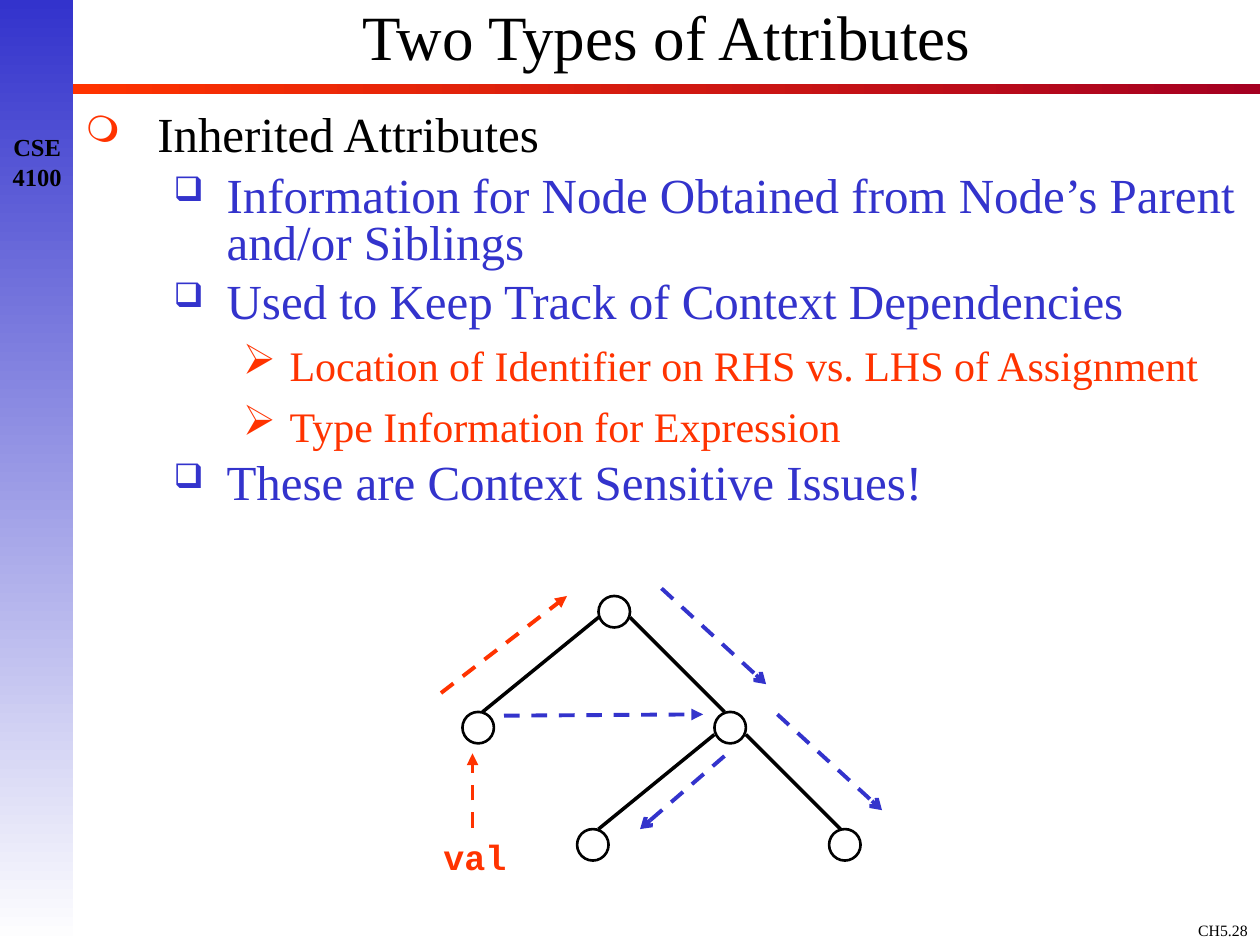
from pptx import Presentation
from pptx.dml.color import RGBColor
from pptx.enum.dml import MSO_LINE
from pptx.enum.shapes import MSO_CONNECTOR, MSO_SHAPE
from pptx.enum.text import MSO_ANCHOR, PP_ALIGN
from pptx.oxml import parse_xml
from pptx.oxml.ns import nsdecls
from pptx.util import Inches, Pt

BLACK, BLUE, RED = "000000", "3333CC", "FF3300"
SERIF = "Times New Roman"


def color(value):
    return RGBColor.from_string(value)


def add_run(paragraph, text, size, hue=BLACK, name=SERIF, bold=False):
    run = paragraph.add_run()
    run.text = text
    run.font.size = Pt(size)
    run.font.name = name
    run.font.bold = bold
    run.font.color.rgb = color(hue)


presentation = Presentation()
presentation.slide_width = Inches(10)
presentation.slide_height = Inches(7.5)
slide = presentation.slides.add_slide(presentation.slide_layouts[5])
shapes = slide.shapes

bands = [
    (0.58, 0.67, 9.42, 0.08, 0, RED, "A50021"),
    (0, 0, 0.58, 7.5, 270, BLUE, "FFFFFF"),
]
for left, top, width, height, angle, start, end in bands:
    band = shapes.add_shape(MSO_SHAPE.RECTANGLE, Inches(left), Inches(top), Inches(width), Inches(height))
    band.shadow.inherit = False
    band.line.fill.background()
    band.fill.gradient()
    band.fill.gradient_angle = angle
    for stop, hue in zip(band.fill.gradient_stops, (start, end)):
        stop.color.rgb = color(hue)

title = shapes.title
title.left, title.top, title.width, title.height = Inches(0.58), Inches(0), Inches(9.42), Inches(0.67)
title.text_frame.vertical_anchor = MSO_ANCHOR.MIDDLE
paragraph = title.text_frame.paragraphs[0]
paragraph.alignment = PP_ALIGN.CENTER
paragraph.line_spacing = 0.8
add_run(paragraph, "Two Types of Attributes", 36)

labels = [
    (8.85, 7.26, 1.15, 0.24, True, PP_ALIGN.RIGHT, ["CH5.28"], 9, BLACK, SERIF, False),
    (0, 1, 0.59, 0.57, False, PP_ALIGN.CENTER, ["CSE", "4100"], 14, BLACK, SERIF, True),
    (3.42, 6.58, 1.2, 0.44, True, PP_ALIGN.LEFT, ["val"], 20, RED, "Courier New", True),
]
for left, top, width, height, wrap, alignment, lines, size, hue, name, bold in labels:
    label = shapes.add_textbox(Inches(left), Inches(top), Inches(width), Inches(height))
    frame = label.text_frame
    frame.word_wrap = wrap
    for index, line in enumerate(lines):
        paragraph = frame.add_paragraph() if index else frame.paragraphs[0]
        paragraph.alignment = alignment
        add_run(paragraph, line, size, hue, name, bold)

levels = [
    (0.57, 0.57, 0.89, 0, "❍", RED, 75, 28, BLACK),
    (1.12, 0.42, 0.8, 7, "❑", BLUE, 69, 28, BLUE),
    (1.62, 0.37, 1.0, 6, "➢", RED, 100, 24, RED),
]
points = [
    (0, "Inherited Attributes"),
    (1, "Information for Node Obtained from Node’s Parent and/or Siblings"),
    (1, "Used to Keep Track of Context Dependencies"),
    (2, "Location of Identifier on RHS vs. LHS of Assignment"),
    (2, "Type Information for Expression"),
    (1, "These are Context Sensitive Issues!"),
]
body = shapes.add_textbox(Inches(0.58), Inches(0.83), Inches(9.42), Inches(3.92))
body.text_frame.word_wrap = True
for index, (level, text) in enumerate(points):
    margin, hanging, spacing, before, bullet, bullet_hue, percent, size, hue = levels[level]
    paragraph = body.text_frame.add_paragraph() if index else body.text_frame.paragraphs[0]
    paragraph.level = level
    properties = paragraph._p.get_or_add_pPr()
    properties.set("marL", str(Inches(margin)))
    properties.set("indent", str(-Inches(hanging)))
    for xml in (
        f'<a:buClr {nsdecls("a")}><a:srgbClr val="{bullet_hue}"/></a:buClr>',
        f'<a:buSzPct {nsdecls("a")} val="{percent * 1000}"/>',
        f'<a:buChar {nsdecls("a")} char="{bullet}"/>',
    ):
        properties.append(parse_xml(xml))
    paragraph.line_spacing = spacing
    paragraph.space_before = Pt(before)
    add_run(paragraph, text, size, hue)

branches = [
    (3.83, 5.65, 4.75, 4.9),
    (5, 4.9, 5.75, 5.65),
    (4.75, 6.58, 5.67, 5.83),
    (5.92, 5.83, 6.67, 6.58),
]
flows = [
    (3.5, 5.5, 4.5, 4.73, RED, "triangle"),
    (5.25, 4.67, 6.08, 5.43, BLUE, "arrow"),
    (3.75, 6.57, 3.75, 5.98, RED, "triangle"),
    (6.17, 5.67, 7, 6.43, BLUE, "arrow"),
    (5.75, 6, 5.08, 6.58, BLUE, "arrow"),
    (4, 5.68, 5.58, 5.67, BLUE, "triangle"),
]
for *ends, hue, arrowhead in [(*branch, BLACK, None) for branch in branches] + flows:
    connector = shapes.add_connector(MSO_CONNECTOR.STRAIGHT, *[Inches(value) for value in ends])
    connector.line.color.rgb = color(hue)
    connector.line.width = Pt(2.25 if arrowhead else 2)
    if arrowhead:
        connector.line.dash_style = MSO_LINE.DASH
        connector.line._get_or_add_ln().append(parse_xml(f'<a:tailEnd {nsdecls("a")} type="{arrowhead}"/>'))
    connector._element.spPr.append(parse_xml(f'<a:effectLst {nsdecls("a")}/>'))

for left, top in [(4.75, 4.73), (3.67, 5.65), (5.67, 5.65), (4.58, 6.58), (6.58, 6.58)]:
    node = shapes.add_shape(MSO_SHAPE.OVAL, Inches(left), Inches(top), Inches(0.25), Inches(0.25))
    node.shadow.inherit = False
    node.fill.background()
    node.line.color.rgb = color(BLACK)
    node.line.width = Pt(1.5)

presentation.save("out.pptx")
